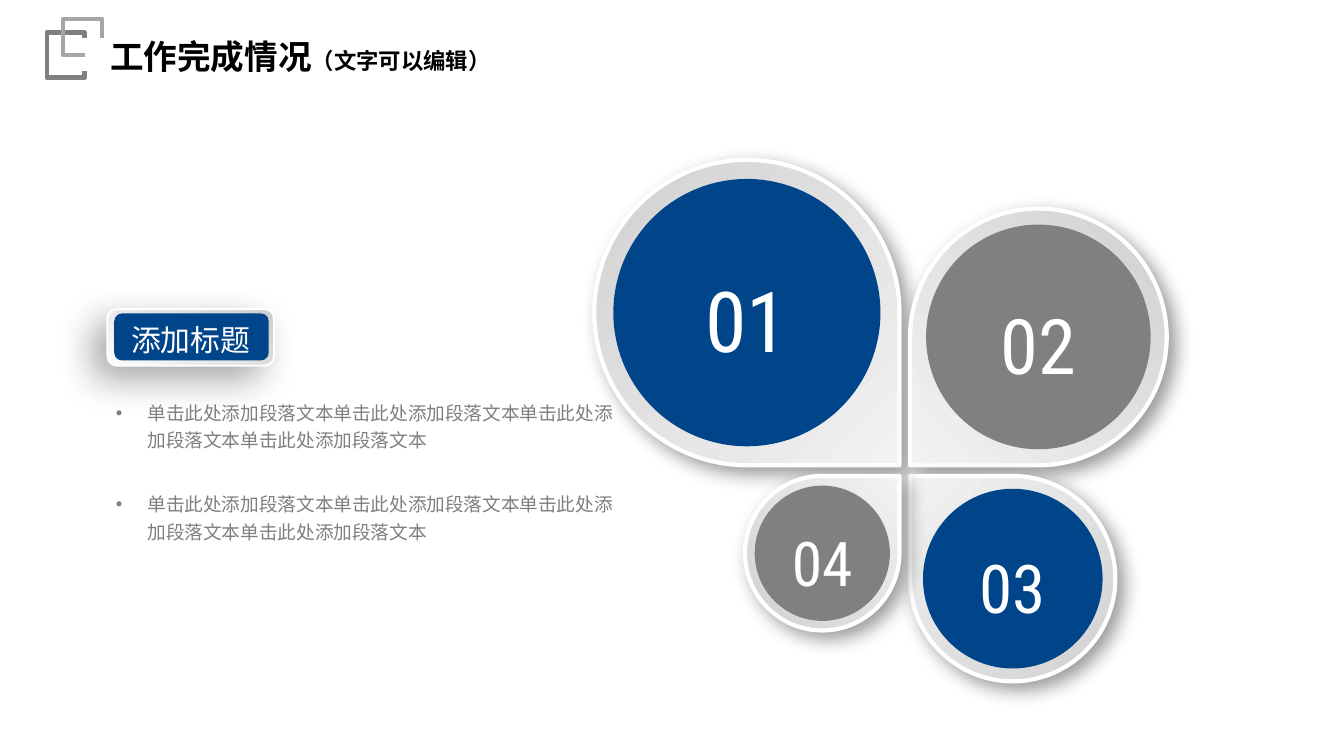
from dataclasses import dataclass

import pptx
import pptx.dml.color
import pptx.enum.shapes
import pptx.enum.text
import pptx.oxml
import pptx.oxml.ns
import pptx.util
from lxml import etree

Cm = pptx.util.Cm
Pt = pptx.util.Pt
RGBColor = pptx.dml.color.RGBColor
Shapes = pptx.enum.shapes.MSO_SHAPE
Align = pptx.enum.text.PP_ALIGN
Anchor = pptx.enum.text.MSO_ANCHOR
qn = pptx.oxml.ns.qn

BLACK = RGBColor(0x00, 0x00, 0x00)
WHITE = RGBColor(0xFF, 0xFF, 0xFF)
BLUE = RGBColor(0x00, 0x45, 0x8A)
GREY = RGBColor(0x80, 0x80, 0x80)
LIGHT_GREY = RGBColor(0xA6, 0xA6, 0xA6)
TEXT_GREY = RGBColor(0x7F, 0x7F, 0x7F)
PETAL_DARK = RGBColor(0xD1, 0xD1, 0xD1)
PETAL_LIGHT = RGBColor(0xF2, 0xF2, 0xF2)
BADGE_DARK = RGBColor(0xCC, 0xCC, 0xCC)
BADGE_LIGHT = RGBColor(0xFC, 0xFC, 0xFC)

CJK_FONT = "Noto Sans CJK SC"
NUMBER_FONT = "Roboto Condensed"
BODY = "单击此处添加段落文本" * 4

# The four petals meet around this point (cm).
JUNCTION_X, JUNCTION_Y = 17.1, 8.89
HALF_GAP = 0.1
DISC_RATIO = 0.875


@dataclass(frozen=True)
class Petal:
    number: str
    size: float
    side_x: int
    side_y: int
    rotation: int
    color: RGBColor
    font_size: int


@dataclass(frozen=True)
class Bracket:
    points: tuple
    color: RGBColor


PETALS = (
    Petal("01", 5.77, -1, -1, 90, BLUE, 45),
    Petal("02", 4.85, 1, -1, 180, GREY, 41),
    Petal("03", 3.88, 1, 1, 270, BLUE, 36),
    Petal("04", 2.92, -1, 1, 0, GREY, 33),
)
BRACKETS = (
    Bracket(((1.6, 0.71), (1.6, 0.61), (0.89, 0.61), (0.89, 1.47),
             (1.6, 1.47), (1.6, 1.35)), GREY),
    Bracket(((1.93, 0.71), (1.93, 0.36), (1.19, 0.36), (1.19, 1.04),
             (1.6, 1.04)), LIGHT_GREY),
)


def add_run(paragraph, text: str, *, size: float, color: RGBColor,
            font: str = CJK_FONT, bold: bool = False) -> None:
    run = paragraph.add_run()
    run.text = text
    run.font.size = Pt(size)
    run.font.bold = bold
    run.font.color.rgb = color
    run.font.name = font
    east_asian = etree.SubElement(run.font._element, qn("a:ea"))
    east_asian.set("typeface", CJK_FONT)


def add_text(slide, text: str, left: int, top: int, width: int, height: int, *,
             align=Align.LEFT, wrap: bool = True, margins: tuple = (0.25, 0.13),
             **run_format):
    """Add a text box with one formatted paragraph and return the paragraph."""
    frame = slide.shapes.add_textbox(left, top, width, height).text_frame
    frame.word_wrap = wrap
    frame.margin_left = frame.margin_right = Cm(margins[0])
    frame.margin_top = frame.margin_bottom = Cm(margins[1])
    paragraph = frame.paragraphs[0]
    paragraph.alignment = align
    add_run(paragraph, text, **run_format)
    return paragraph


def add_plain_shape(slide, kind, left: int, top: int, width: int, height: int,
                    color: RGBColor):
    shape = slide.shapes.add_shape(kind, left, top, width, height)
    shape.shadow.inherit = False
    shape.fill.solid()
    shape.fill.fore_color.rgb = color
    shape.line.fill.background()
    return shape


def make_raised(shape, dark: RGBColor, light: RGBColor, *, angle: float,
                line_width: float, opacity: int, blur: float, distance: float,
                direction: int) -> None:
    """Give a shape a gradient, a white edge and an outer shadow."""
    shape.fill.gradient()
    shape.fill.gradient_angle = angle
    for stop, color in zip(shape.fill.gradient_stops, (dark, light)):
        stop.color.rgb = color
    shape.line.color.rgb = WHITE
    shape.line.width = Pt(line_width)
    effects = shape._element.spPr.find(qn("a:effectLst"))
    effects.append(pptx.oxml.parse_xml(
        f'<a:outerShdw {pptx.oxml.ns.nsdecls("a")} blurRad="{Pt(blur)}" '
        f'dist="{Pt(distance)}" dir="{direction * 60000}" algn="ctr" rotWithShape="0">'
        f'<a:srgbClr val="{BLACK}"><a:alpha val="{opacity * 1000}"/></a:srgbClr>'
        f'</a:outerShdw>'))


def add_bracket(slide, bracket: Bracket) -> None:
    points = [(Cm(x), Cm(y)) for x, y in bracket.points]
    builder = slide.shapes.build_freeform(*points[0])
    builder.add_line_segments(points[1:], close=False)
    shape = builder.convert_to_shape()
    shape.shadow.inherit = False
    shape.fill.background()
    shape.line.color.rgb = bracket.color
    shape.line.width = Pt(2.5)


def add_petal(slide, petal: Petal) -> None:
    offset = HALF_GAP + petal.size / 2
    center_x = JUNCTION_X + petal.side_x * offset
    center_y = JUNCTION_Y + petal.side_y * offset

    def centered(size: float) -> tuple:
        return Cm(center_x - size / 2), Cm(center_y - size / 2), Cm(size), Cm(size)

    drop = add_plain_shape(slide, Shapes.TEAR, *centered(petal.size), PETAL_LIGHT)
    drop.rotation = petal.rotation
    make_raised(drop, PETAL_DARK, PETAL_LIGHT, angle=45, line_width=2.25,
                opacity=40, blur=10, distance=5, direction=45)
    add_plain_shape(slide, Shapes.OVAL, *centered(petal.size * DISC_RATIO), petal.color)
    width, height = Cm(2.77), Pt(petal.font_size * 1.4)
    add_text(slide, petal.number, Cm(center_x) - width // 2,
             Cm(center_y + 0.15) - height // 2, width, height,
             align=Align.CENTER, size=petal.font_size, color=WHITE, font=NUMBER_FONT)


def add_badge(slide) -> None:
    frame = add_plain_shape(slide, Shapes.ROUNDED_RECTANGLE,
                            Cm(2.03), Cm(5.84), Cm(3.15), Cm(1.07), BADGE_LIGHT)
    make_raised(frame, BADGE_DARK, BADGE_LIGHT, angle=240, line_width=1,
                opacity=34, blur=20, distance=10, direction=136)
    add_plain_shape(slide, Shapes.ROUNDED_RECTANGLE,
                    Cm(2.16), Cm(5.92), Cm(2.92), Cm(0.89), BLUE)
    add_text(slide, "添加标题", Cm(2.21), Cm(5.94), Cm(2.79), Cm(0.94),
             align=Align.CENTER, wrap=False, size=16, color=WHITE)


def add_bullet(slide, text: str, top: int) -> None:
    paragraph = add_text(slide, text, Cm(2.01), top, Cm(10.01), Cm(1.4),
                         margins=(0.18, 0.1), size=10, color=TEXT_GREY)
    paragraph.line_spacing = 1.22
    paragraph.space_before = Pt(4)
    properties = paragraph._p.get_or_add_pPr()
    properties.set("marL", str(Cm(0.6)))
    properties.set("indent", str(-Cm(0.6)))
    etree.SubElement(properties, qn("a:buFont")).set("typeface", "Arial")
    etree.SubElement(properties, qn("a:buChar")).set("char", "•")


def fill_title(slide) -> None:
    title = slide.shapes.title
    title.left, title.top, title.width, title.height = Cm(1.9), Cm(0.58), Cm(9.75), Cm(0.97)
    frame = title.text_frame
    frame.word_wrap = True
    frame.vertical_anchor = Anchor.MIDDLE
    frame.margin_left = frame.margin_right = Cm(0.18)
    frame.margin_top = frame.margin_bottom = Cm(0.1)
    paragraph = frame.paragraphs[0]
    paragraph.alignment = Align.LEFT
    for text, size in (("工作完成情况", 18), ("（文字可以编辑）", 12)):
        add_run(paragraph, text, size=size, color=BLACK, font="Arial", bold=True)


def main() -> None:
    presentation = pptx.Presentation()
    presentation.slide_width, presentation.slide_height = Cm(25.4), Cm(14.28)
    slide = presentation.slides.add_slide(presentation.slide_layouts[5])
    for bracket in BRACKETS:
        add_bracket(slide, bracket)
    fill_title(slide)
    for petal in PETALS:
        add_petal(slide, petal)
    add_badge(slide)
    for top in (7.39, 9.12):
        add_bullet(slide, BODY, Cm(top))
    presentation.save("out.pptx")


if __name__ == "__main__":
    main()
